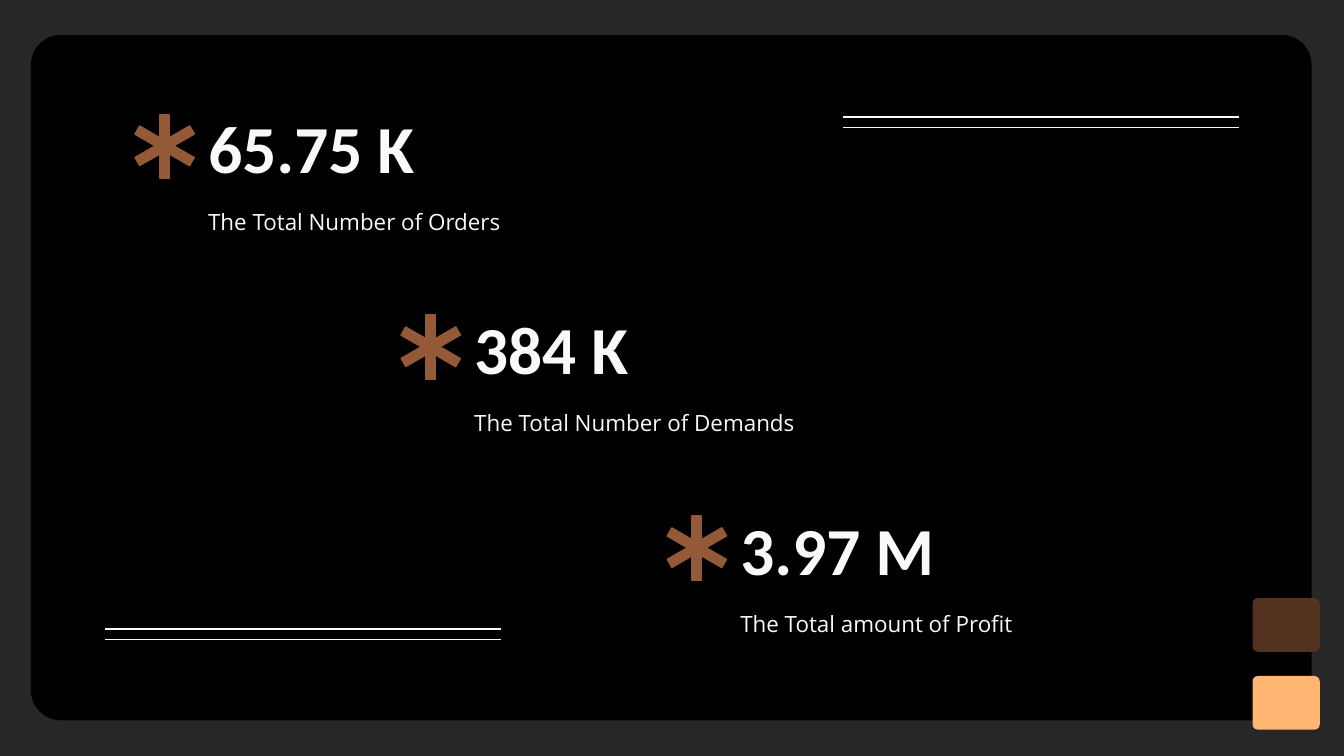
from dataclasses import dataclass

from pptx import Presentation
from pptx.dml.color import RGBColor
from pptx.enum.shapes import MSO_CONNECTOR, MSO_SHAPE
from pptx.enum.text import MSO_ANCHOR, MSO_AUTO_SIZE, PP_ALIGN
from pptx.oxml.ns import qn
from pptx.shapes.autoshape import Shape
from pptx.slide import Slide
from pptx.util import Inches, Pt


@dataclass(frozen=True)
class Theme:
    background: str = "272727"
    panel: str = "000000"
    text: str = "F9F9F9"
    accent: str = "945937"
    tab_dark: str = "53321F"
    tab_light: str = "FFB673"
    value_font: str = "Calibri"
    label_font: str = "Open Sans"
    value_size: float = 36
    label_size: float = 12
    line_width: float = 0.75


@dataclass(frozen=True)
class Stat:
    value: str
    label: str


@dataclass(frozen=True)
class Box:
    x: float
    y: float
    w: float
    h: float


@dataclass(frozen=True)
class Block:
    box: Box
    fill: str
    corner: float


THEME = Theme()
STATS = [
    Stat("65.75 K", "The Total Number of Orders"),
    Stat("384 K", "The Total Number of Demands"),
    Stat("3.97 M", "The Total amount of Profit"),
]
BLOCKS = [
    Block(Box(0.23, 0.26, 9.53, 5.1), THEME.panel, 0.044),
    Block(Box(9.32, 5.03, 0.5, 0.4), THEME.tab_light, 0.1),
    Block(Box(9.32, 4.45, 0.5, 0.4), THEME.tab_dark, 0.1),
]
SLIDE_W = 10
SLIDE_H = SLIDE_W * 9 / 16
STAT_X, STAT_Y = 1.45, 0.73
STEP_X, STEP_Y = 1.98, 2.99 / 2
STAT_W, VALUE_H, LABEL_H = 3.59, 0.72, 0.46
RULE_W, RULE_GAP = 2.95, 0.08
RULE_PAIRS = [(6.27, 0.87), (0.78, 4.68)]


def rgb(code: str) -> RGBColor:
    return RGBColor.from_string(code)


def set_all(target: object, values: dict) -> None:
    for name, value in values.items():
        setattr(target, name, value)


def place(sp: Shape, box: Box) -> None:
    set_all(sp, {"left": Inches(box.x), "top": Inches(box.y),
                 "width": Inches(box.w), "height": Inches(box.h)})


def paint(sp: Shape, color: str) -> None:
    sp.shadow.inherit = False
    sp.fill.solid()
    sp.fill.fore_color.rgb = rgb(color)


def add_block(s: Slide, block: Block) -> None:
    b = block.box
    sp = s.shapes.add_shape(MSO_SHAPE.ROUNDED_RECTANGLE, Inches(b.x), Inches(b.y),
                            Inches(b.w), Inches(b.h))
    sp.adjustments[0] = block.corner
    paint(sp, block.fill)
    sp.line.fill.background()


def write(sp: Shape, text: str, anchor: MSO_ANCHOR, font: dict) -> None:
    tf = sp.text_frame
    inset = Inches(0.1)
    set_all(tf, {"word_wrap": True, "auto_size": MSO_AUTO_SIZE.NONE,
                 "vertical_anchor": anchor, "margin_left": inset, "margin_right": inset,
                 "margin_top": inset, "margin_bottom": inset})
    p = tf.paragraphs[0]
    p.alignment = PP_ALIGN.LEFT
    r = p.add_run()
    r.text = text
    set_all(r.font, font)
    r.font.color.rgb = rgb(THEME.text)


def add_asterisk(s: Slide, x: float, y: float) -> None:
    """Cross three bars at 60 degree steps, with the upright bar's corner at x, y."""
    group = s.shapes.add_group_shape()
    for angle in (0, 300, 60):
        sp = group.shapes.add_shape(MSO_SHAPE.RECTANGLE, Inches(x), Inches(y),
                                    Inches(0.07), Inches(0.48 if angle == 0 else 0.47))
        sp.rotation = angle
        paint(sp, THEME.accent)
        sp.line.color.rgb = rgb(THEME.accent)
        sp.line.width = Pt(THEME.line_width)


def add_stat(s: Slide, stat: Stat, index: int) -> None:
    """Draw one step of the diagonal; the first value is the slide title."""
    x, y = STAT_X + index * STEP_X, STAT_Y + index * STEP_Y
    if index == 0:
        value = s.shapes.title
        value.element.getparent().append(value.element)  # in front of the panel
    else:
        value = s.shapes.add_textbox(0, 0, 0, 0)
    label = s.shapes.add_textbox(0, 0, 0, 0)
    place(value, Box(x, y, STAT_W, VALUE_H))
    place(label, Box(x, y + VALUE_H, STAT_W, LABEL_H))
    write(value, stat.value, MSO_ANCHOR.MIDDLE,
          {"name": THEME.value_font, "size": Pt(THEME.value_size), "bold": True})
    write(label, stat.label, MSO_ANCHOR.TOP,
          {"name": THEME.label_font, "size": Pt(THEME.label_size)})
    add_asterisk(s, x - 0.26, y + 0.12)


def add_rule_pair(s: Slide, x: float, y: float) -> None:
    group = s.shapes.add_group_shape()
    for line_y in (y + RULE_GAP, y):
        rule = group.shapes.add_connector(MSO_CONNECTOR.STRAIGHT, Inches(x), Inches(line_y),
                                          Inches(x + RULE_W), Inches(line_y))
        rule.line.color.rgb = rgb(THEME.text)
        rule.line.width = Pt(THEME.line_width)
        sp_pr = rule.element.spPr
        sp_pr.append(sp_pr.makeelement(qn("a:effectLst"), {}))


def main() -> None:
    prs = Presentation()
    prs.slide_width, prs.slide_height = Inches(SLIDE_W), Inches(SLIDE_H)
    s = prs.slides.add_slide(prs.slide_layouts[5])
    s.background.fill.solid()
    s.background.fill.fore_color.rgb = rgb(THEME.background)
    for block in BLOCKS:
        add_block(s, block)
    for index, stat in enumerate(STATS):
        add_stat(s, stat, index)
    for x, y in RULE_PAIRS:
        add_rule_pair(s, x, y)
    prs.save("out.pptx")


if __name__ == "__main__":
    main()
